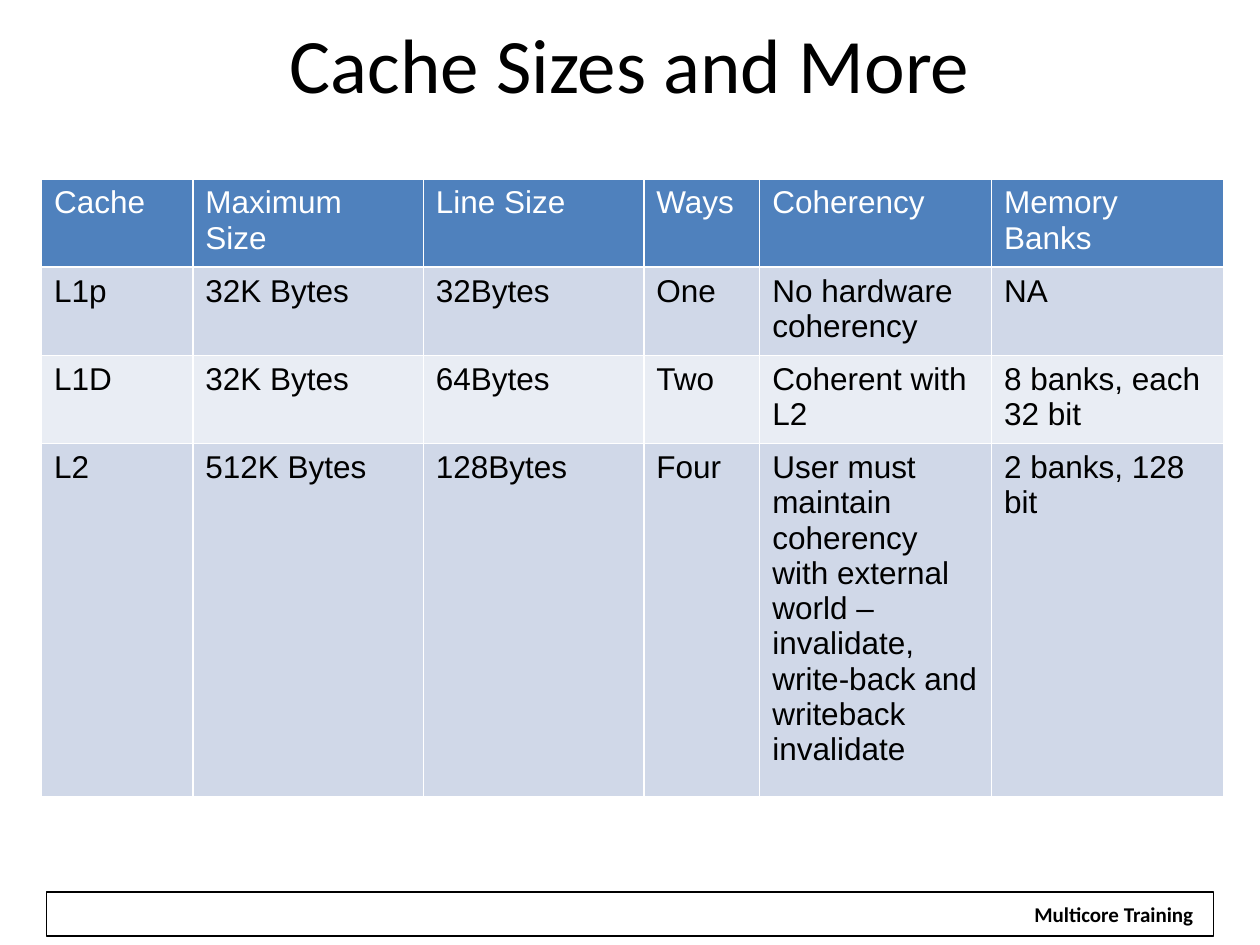
"""Build the cache sizes slide: a title, a comparison table and a footer."""
from dataclasses import dataclass
from typing import Optional

from pptx import Presentation
from pptx.dml.color import RGBColor
from pptx.enum.shapes import MSO_SHAPE
from pptx.enum.text import MSO_ANCHOR, MSO_AUTO_SIZE, PP_ALIGN
from pptx.shapes.autoshape import Shape
from pptx.slide import Slide
from pptx.text.text import TextFrame, _Paragraph
from pptx.util import Pt

PX = 9144
BLACK = RGBColor(0x00, 0x00, 0x00)
WHITE = RGBColor(0xFF, 0xFF, 0xFF)
HEADER = RGBColor(0x4F, 0x81, 0xBD)
BANDS = (RGBColor(0xE9, 0xED, 0xF4), RGBColor(0xD0, 0xD8, 0xE8))

COLUMNS = (120, 183, 175, 92, 184, 184)
ROW_HEIGHT = 45
CACHES = (
    ("Cache", "Maximum Size", "Line Size", "Ways", "Coherency", "Memory Banks"),
    ("L1p", "32K Bytes", "32Bytes", "One", "No hardware coherency", "NA"),
    ("L1D", "32K Bytes", "64Bytes", "Two", "Coherent with L2", "8 banks, each 32 bit"),
    ("L2", "512K Bytes", "128Bytes", "Four",
     "User must maintain coherency with external world – invalidate, "
     "write-back and writeback invalidate", "2 banks, 128 bit"),
)

TITLE_FONT = {"name": "Calibri", "size": Pt(44), "bold": False}
FOOTER_FONT = {"name": "Calibri", "size": Pt(12), "bold": True}
CELL_FONT = {"name": "Arial", "size": Pt(18), "bold": False}


@dataclass(frozen=True)
class Box:
    """A rectangle in px."""
    left: int
    top: int
    width: int
    height: int

    def emu(self) -> tuple[int, ...]:
        """Return the four lengths in EMU."""
        return tuple(v * PX for v in (self.left, self.top, self.width, self.height))


def write(tf: TextFrame, text: str, font: dict, color: RGBColor) -> _Paragraph:
    """Put formatted text in a frame and return its paragraph."""
    p = tf.paragraphs[0]
    r = p.add_run()
    r.text = text
    for name, value in font.items():
        setattr(r.font, name, value)
    r.font.color.rgb = color
    return p


def add_title(s: Slide, box: Box, text: str) -> None:
    """Place and fill the title placeholder."""
    sp = s.shapes.title
    sp.left, sp.top, sp.width, sp.height = box.emu()
    tf = sp.text_frame
    tf.auto_size = MSO_AUTO_SIZE.NONE
    tf.vertical_anchor = MSO_ANCHOR.MIDDLE
    write(tf, text, TITLE_FONT, BLACK).alignment = PP_ALIGN.CENTER


def add_rect(s: Slide, box: Box, fill: Optional[RGBColor], line: Optional[RGBColor]) -> Shape:
    """Draw a flat rectangle with an optional fill and outline."""
    sp = s.shapes.add_shape(MSO_SHAPE.RECTANGLE, *box.emu())
    sp.shadow.inherit = False
    for part, color in ((sp.fill, fill), (sp.line.fill, line)):
        if color is None:
            part.background()
        else:
            part.solid()
            part.fore_color.rgb = color
    if line is not None:
        sp.line.width = Pt(0.75)
    return sp


def add_footer(s: Slide, text: str) -> None:
    """Draw the footer frame and its label."""
    add_rect(s, Box(37, 708, 926, 35), None, BLACK)
    tf = add_rect(s, Box(810, 711, 148, 30), WHITE, None).text_frame
    tf.word_wrap = False
    tf.auto_size = MSO_AUTO_SIZE.SHAPE_TO_FIT_TEXT
    tf.vertical_anchor = MSO_ANCHOR.TOP
    write(tf, text, FOOTER_FONT, BLACK).alignment = PP_ALIGN.CENTER


def add_cache_table(s: Slide, left: int, top: int) -> None:
    """Draw the table with a header row and alternating bands."""
    box = Box(left, top, sum(COLUMNS), ROW_HEIGHT * len(CACHES))
    table = s.shapes.add_table(len(CACHES), len(COLUMNS), *box.emu()).table
    for column, width in zip(table.columns, COLUMNS):
        column.width = width * PX
    for i, row in enumerate(CACHES):
        fill, color = (BANDS[i % 2], BLACK) if i else (HEADER, WHITE)
        for j, text in enumerate(row):
            cell = table.cell(i, j)
            cell.fill.solid()
            cell.fill.fore_color.rgb = fill
            write(cell.text_frame, text, CELL_FONT, color)


def main() -> None:
    """Build and save the slide."""
    prs = Presentation()
    prs.slide_width, prs.slide_height = 1000 * PX, 750 * PX
    s = prs.slides.add_slide(prs.slide_layouts[5])
    add_footer(s, "Multicore Training")
    add_title(s, Box(50, 8, 900, 83), "Cache Sizes and More")
    add_cache_table(s, 33, 142)
    prs.save("out.pptx")


if __name__ == "__main__":
    main()
